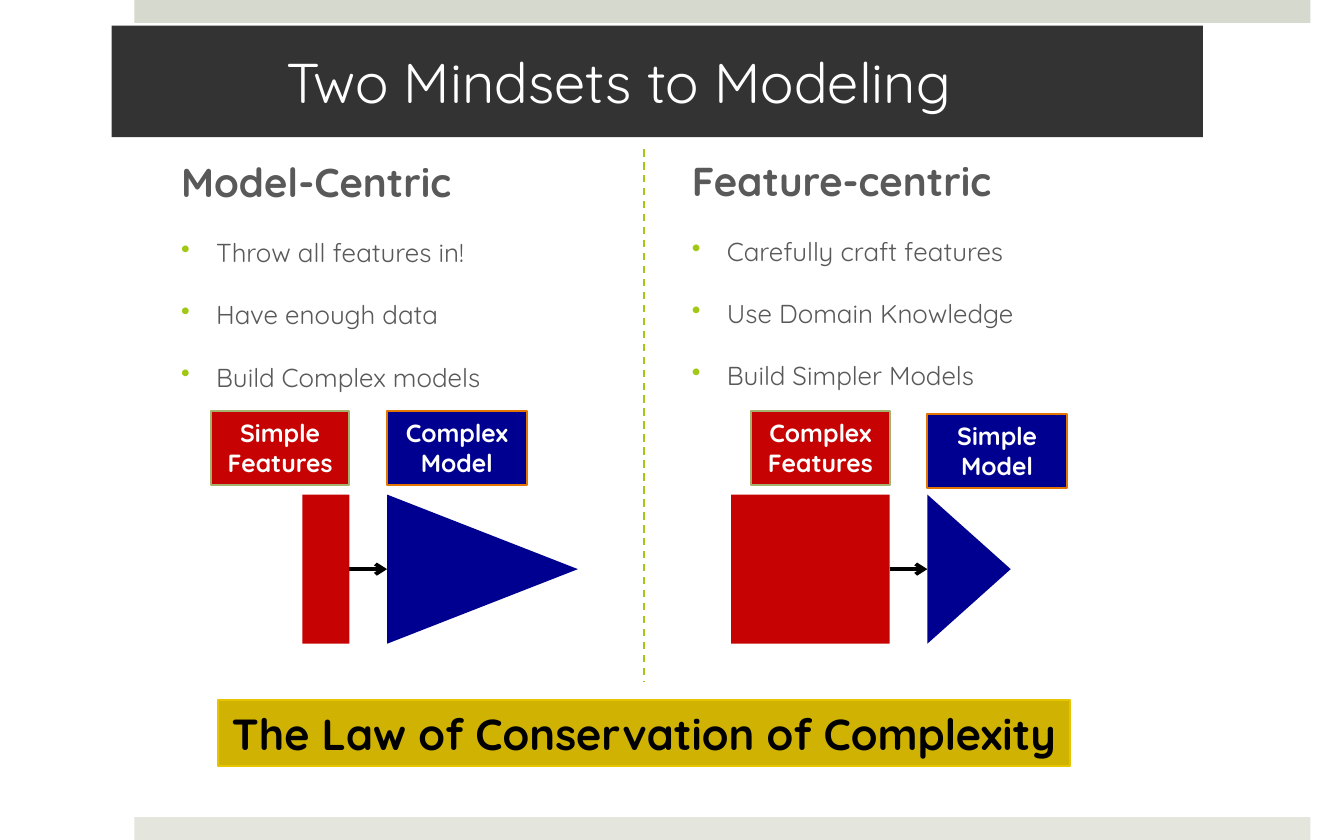
"""Build a slide comparing model-centric and feature-centric mindsets."""
import pptx
import pptx.util
import pptx.dml.color
import pptx.enum.dml
import pptx.enum.shapes
import pptx.enum.text
import pptx.oxml.xmlchemy

Inches = pptx.util.Inches
Pt = pptx.util.Pt
RGBColor = pptx.dml.color.RGBColor
OxmlElement = pptx.oxml.xmlchemy.OxmlElement
SHAPE = pptx.enum.shapes.MSO_SHAPE
ALIGN = pptx.enum.text.PP_ALIGN
ANCHOR = pptx.enum.text.MSO_ANCHOR

FONT = "Quicksand"
WHITE = RGBColor(0xFF, 0xFF, 0xFF)
BLACK = RGBColor(0x00, 0x00, 0x00)
CHARCOAL = RGBColor(0x33, 0x33, 0x33)
GRAY = RGBColor(0x59, 0x59, 0x59)
GREEN = RGBColor(0xA2, 0xC8, 0x16)
RED = RGBColor(0xC6, 0x02, 0x02)
BLUE = RGBColor(0x00, 0x00, 0x90)
OLIVE = RGBColor(0xA3, 0xB3, 0x6E)
ORANGE = RGBColor(0xE2, 0x76, 0x00)
GOLD = RGBColor(0xCF, 0xB2, 0x02)
YELLOW = RGBColor(0xE6, 0xC5, 0x00)
TOP_STRIP = RGBColor(0xD6, 0xD9, 0xCD)
BOTTOM_STRIP = RGBColor(0xE4, 0xE6, 0xDE)

WIDTH, HEIGHT = 10, 6.25
STRIP_HEIGHT = 0.17
LABEL_WIDTH, LABEL_HEIGHT = 1.03, 0.55
BLOCK_TOP, BLOCK_HEIGHT = 3.68, 1.11
ARROW_ROW = BLOCK_TOP + BLOCK_HEIGHT / 2
ARROW_LENGTH = 0.28
DIVIDER = 4.79

presentation = pptx.Presentation()
presentation.slide_width = Inches(WIDTH)
presentation.slide_height = Inches(HEIGHT)
slide = presentation.slides.add_slide(presentation.slide_layouts[5])


def add_block(kind, box, fill, outline=None, lines=(), size=13.3, color=WHITE):
    shape = slide.shapes.add_shape(kind, *map(Inches, box))
    shape.shadow.inherit = False
    shape.fill.solid()
    shape.fill.fore_color.rgb = fill
    if outline is None:
        shape.line.fill.background()
    else:
        shape.line.color.rgb = outline
        shape.line.width = Pt(1)
    frame = shape.text_frame
    frame.word_wrap = True
    frame.vertical_anchor = ANCHOR.TOP
    for index, line in enumerate(lines):
        paragraph = frame.add_paragraph() if index else frame.paragraphs[0]
        paragraph.alignment = ALIGN.CENTER
        run = paragraph.add_run()
        run.text = line
        run.font.name, run.font.size, run.font.bold = FONT, Pt(size), True
        run.font.color.rgb = color
    return shape


def add_line(start, end, color, width):
    connector = slide.shapes.add_connector(
        pptx.enum.shapes.MSO_CONNECTOR.STRAIGHT, *map(Inches, start + end))
    connector.line.color.rgb = color
    connector.line.width = Pt(width)
    connector._element.spPr.append(OxmlElement("a:effectLst"))
    return connector


for top, fill in ((0, TOP_STRIP), (HEIGHT - STRIP_HEIGHT, BOTTOM_STRIP)):
    add_block(SHAPE.RECTANGLE, (1, top, 8.75, STRIP_HEIGHT), fill)

title = slide.shapes.title
title.left, title.top, title.width, title.height = map(Inches, (0.83, 0.19, 8.12, 0.83))
title.fill.solid()
title.fill.fore_color.rgb = CHARCOAL
frame = title.text_frame
frame.auto_size = pptx.enum.text.MSO_AUTO_SIZE.NONE
frame.vertical_anchor = ANCHOR.MIDDLE
frame.margin_left, frame.margin_right = Inches(1.3), Inches(0.3)
frame.paragraphs[0].alignment = ALIGN.LEFT
run = frame.paragraphs[0].add_run()
run.text = "Two Mindsets to Modeling"
run.font.name, run.font.size = FONT, Pt(30)
run.font.color.rgb = WHITE

mindsets = [
    ((1.25, 1.12, 3.54, 1.79), "Model-Centric",
     ["Throw all features in!", "Have enough data", "Build Complex models"]),
    ((5.05, 1.11, 3.68, 1.81), "Feature-centric",
     ["Carefully craft features", "Use Domain Knowledge", "Build Simpler Models"]),
]
for box, heading, points in mindsets:
    frame = slide.shapes.add_textbox(*map(Inches, box)).text_frame
    frame.word_wrap = True
    for index, text in enumerate([heading] + points):
        paragraph = frame.add_paragraph() if index else frame.paragraphs[0]
        paragraph.space_before = Pt(16.7)
        run = paragraph.add_run()
        run.text = text
        run.font.name = FONT
        run.font.size = Pt(13.9 if index else 21.6)
        run.font.bold = index == 0
        run.font.color.rgb = GRAY
        properties = paragraph._p.get_or_add_pPr()
        indent = Inches(0.26 if index else 0.31)
        properties.set("marL", str(indent))
        properties.set("indent", str(-indent))
        if index:
            bullet_color = OxmlElement("a:buClr")
            swatch = OxmlElement("a:srgbClr")
            swatch.set("val", str(GREEN))
            bullet_color.append(swatch)
            bullet = OxmlElement("a:buChar")
            bullet.set("char", "•")
            properties.extend([bullet_color, bullet])

pipelines = [
    (2.6, 0.35, 1.42, 3.06, ["Simple Features"], ["Complex Model"]),
    (6.62, 1.18, 0.62, 3.08, ["Complex", "Features"], ["Simple", "Model"]),
]
for feature_edge, feature_width, model_depth, model_top, features, model in pipelines:
    model_edge = feature_edge + ARROW_LENGTH
    add_block(SHAPE.RECTANGLE,
              (feature_edge - feature_width, BLOCK_TOP, feature_width, BLOCK_HEIGHT), RED)
    triangle = add_block(
        SHAPE.ISOSCELES_TRIANGLE,
        (model_edge + (model_depth - BLOCK_HEIGHT) / 2, ARROW_ROW - model_depth / 2,
         BLOCK_HEIGHT, model_depth), BLUE)
    triangle.rotation = 90
    add_block(SHAPE.RECTANGLE, (feature_edge - LABEL_WIDTH, 3.06, LABEL_WIDTH, LABEL_HEIGHT),
              RED, OLIVE, features)
    add_block(SHAPE.RECTANGLE, (model_edge, model_top, LABEL_WIDTH + 0.01, LABEL_HEIGHT),
              BLUE, ORANGE, model)
    arrow = add_line((feature_edge, ARROW_ROW), (model_edge, ARROW_ROW), BLACK, 2)
    arrowhead = OxmlElement("a:tailEnd")
    arrowhead.set("type", "arrow")
    arrow._element.spPr.get_or_add_ln().append(arrowhead)

add_block(SHAPE.RECTANGLE, (1.62, 5.21, 6.34, 0.49), GOLD, YELLOW,
          ["The Law of Conservation of Complexity"], 23.3, BLACK)
divider = add_line((DIVIDER, 1.11), (DIVIDER, 5.07), GREEN, 1)
divider.line.dash_style = pptx.enum.dml.MSO_LINE.DASH

presentation.save("out.pptx")
